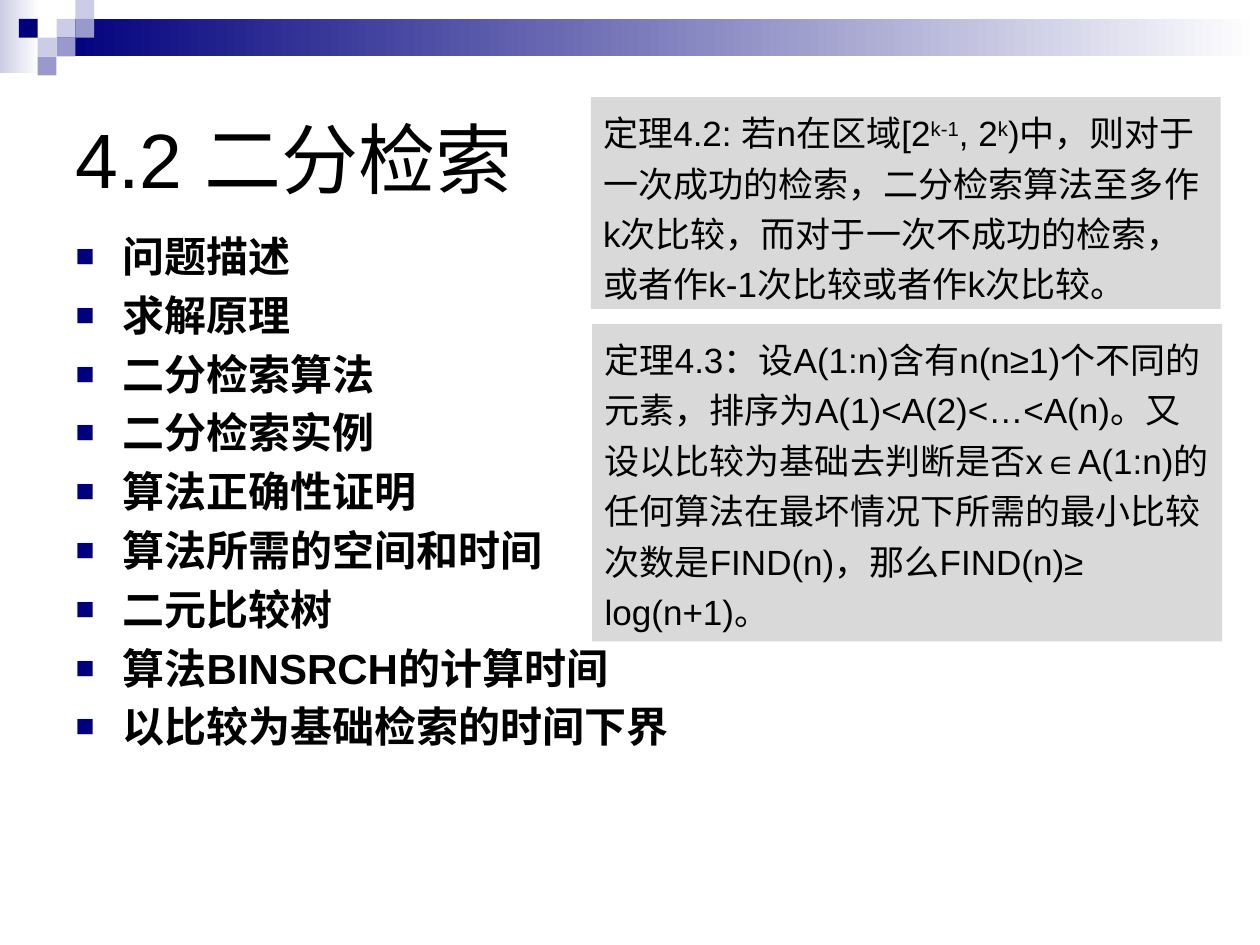
import pptx
import pptx.util
import pptx.dml.color
import pptx.enum.shapes
import pptx.enum.text
import lxml.etree
from pptx.util import Cm

theme = {
    "font": "Arial", "text": "000000", "navy": "00007D", "mid": "9999CC",
    "pale": "CCCCE6", "white": "FFFFFF", "panel": "D9D9D9",
    "title": 44, "list": 24, "note": 20,
}
fit = pptx.enum.text.MSO_AUTO_SIZE


def write(para, text, size, bold=False, lines=1.0, before=0, bullet=None):
    """Fill a paragraph; parts between ^ marks are superscript."""
    para.alignment = pptx.enum.text.PP_ALIGN.LEFT
    para.line_spacing = lines
    para.space_before = pptx.util.Pt(before)
    for i, part in enumerate(text.split("^")):
        run = para.add_run()
        run.text = part
        run.font.name = theme["font"]
        run.font.size = pptx.util.Pt(size)
        run.font.bold = bold
        run.font.color.rgb = pptx.dml.color.RGBColor.from_string(theme["text"])
        if i % 2:
            run.font._element.set("baseline", "30000")
    if bullet:
        props = para._p.get_or_add_pPr()
        props.set("marL", str(Cm(0.95)))
        props.set("indent", str(Cm(-0.95)))
        color = lxml.etree.SubElement(props, pptx.oxml.ns.qn("a:buClr"))
        lxml.etree.SubElement(color, pptx.oxml.ns.qn("a:srgbClr"), val=theme["navy"])
        lxml.etree.SubElement(props, pptx.oxml.ns.qn("a:buSzPct"), val="75000")
        lxml.etree.SubElement(props, pptx.oxml.ns.qn("a:buFont"), typeface=theme["font"])
        lxml.etree.SubElement(props, pptx.oxml.ns.qn("a:buChar"), char=bullet)


def block(x, y, w, h, *colors):
    """Add a borderless rectangle: one colour is solid, two make a gradient."""
    shape = slide.shapes.add_shape(
        pptx.enum.shapes.MSO_SHAPE.RECTANGLE, Cm(x), Cm(y), Cm(w), Cm(h))
    shape.shadow.inherit = False
    shape.line.fill.background()
    tones = [pptx.dml.color.RGBColor.from_string(theme[c]) for c in colors]
    if len(tones) == 1:
        shape.fill.solid()
        shape.fill.fore_color.rgb = tones[0]
    else:
        shape.fill.gradient()
        shape.fill.gradient_angle = 0
        for stop, tone, place in zip(shape.fill.gradient_stops, tones, (0, 1)):
            stop.color.rgb = tone
            stop.position = place
    return shape


deck = pptx.Presentation()
deck.slide_width, deck.slide_height = Cm(25.4), Cm(19.05)
slide = deck.slides.add_slide(deck.slide_layouts[1])

# Header: gradient bars and a mosaic of small squares
block(0, 0, 0.79, 1.47, "pale", "white")
block(1.14, 0.38, 24.26, 0.76, "navy", "white")
unit = 0.38
mosaic = [(3, 1, "pale"), (4, 0, "pale"), (4, 1, "mid"), (2, 2, "pale"),
          (1, 1, "navy"), (3, 2, "mid"), (2, 3, "mid")]
for col, row, color in mosaic:
    block(col * unit, row * unit, unit, unit, color)

# Title
title = slide.shapes.title
title.left, title.top, title.width, title.height = Cm(1.27), Cm(1.27), Cm(22.86), Cm(3.81)
title.text_frame.auto_size = fit.NONE
title.text_frame.vertical_anchor = pptx.enum.text.MSO_ANCHOR.MIDDLE
write(title.text_frame.paragraphs[0], "4.2 二分检索", size=theme["title"])

# Topic list
topics = ["问题描述", "求解原理", "二分检索算法", "二分检索实例", "算法正确性证明",
          "算法所需的空间和时间", "二元比较树", "算法BINSRCH的计算时间",
          "以比较为基础检索的时间下界"]
body = slide.placeholders[1]
body.left, body.top, body.width, body.height = Cm(1.27), Cm(4.52), Cm(22.86), Cm(13.03)
frame = body.text_frame
frame.auto_size = fit.NONE
for i, topic in enumerate(topics):
    para = frame.add_paragraph() if i else frame.paragraphs[0]
    write(para, topic, size=theme["list"], bold=True, before=4.8, bullet="■")

# Theorem panels
notes = [
    (11.91, 1.96, 4.27, 10,
     "定理4.2: 若n在区域[2^k-1^, 2^k^)中，则对于一次成功的检索，二分检索算法至多作k次比较，"
     "而对于一次不成功的检索，或者作k-1次比较或者作k次比较。"),
    (11.94, 6.53, 6.4, 0,
     "定理4.3：设A(1:n)含有n(n≥1)个不同的元素，排序为A(1)<A(2)<…<A(n)。"
     "又设以比较为基础去判断是否x∈A(1:n)的任何算法在最坏情况下所需的最小比较次数是FIND(n)，"
     "那么FIND(n)≥  log(n+1)。"),
]
for x, y, h, before, text in notes:
    frame = block(x, y, 12.7, h, "panel").text_frame
    frame.word_wrap = True
    frame.auto_size = fit.SHAPE_TO_FIT_TEXT
    frame.vertical_anchor = pptx.enum.text.MSO_ANCHOR.TOP
    write(frame.paragraphs[0], text, size=theme["note"], lines=1.2, before=before)

deck.save("out.pptx")
